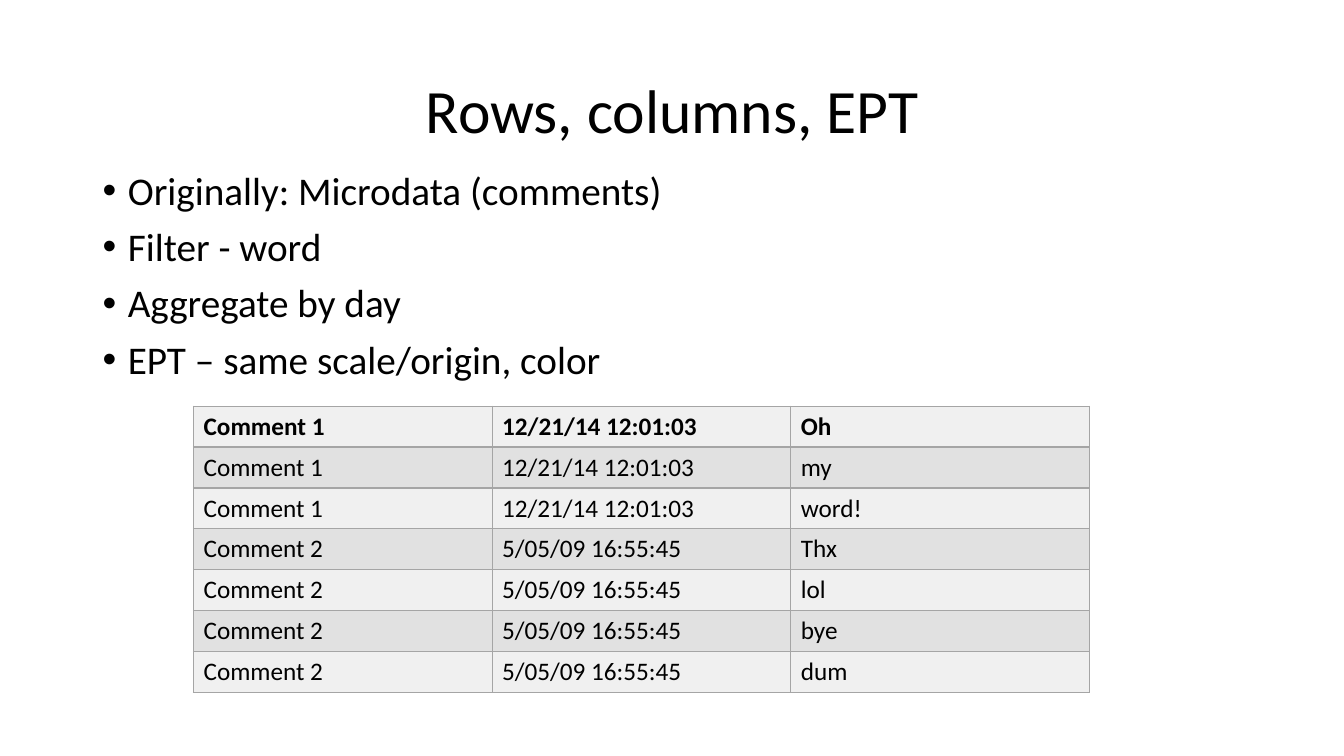
from lxml import etree
from pptx import Presentation
from pptx.dml.color import RGBColor
from pptx.enum.text import MSO_ANCHOR, PP_ALIGN
from pptx.oxml.ns import qn
from pptx.util import Inches, Pt

CENTER, LEFT = PP_ALIGN.CENTER, PP_ALIGN.LEFT
TOP, MIDDLE = MSO_ANCHOR.TOP, MSO_ANCHOR.MIDDLE

COLORS = {"text": "000000", "border": "A5A5A5", "light": "F0F0F0", "dark": "E1E1E1"}

FIRST = "12/21/14 12:01:03"
SECOND = "5/05/09 16:55:45"
COMMENTS = [
    ("Comment 1", FIRST, ["Oh", "my", "word!"]),
    ("Comment 2", SECOND, ["Thx", "lol", "bye", "dum"]),
]


class SlideBuilder:
    """Holds the style and the current slide; areas are percents of the slide."""

    font = "Calibri"

    def __init__(self, deck):
        self.width, self.height = deck.slide_width, deck.slide_height
        self.page = deck.slides.add_slide(deck.slide_layouts[6])

    def place(self, left, top, width, height):
        return (int(self.width * left / 100), int(self.height * top / 100),
                int(self.width * width / 100), int(self.height * height / 100))

    def style(self, para, size, bold=False):
        for span in para.runs:
            span.font.name = self.font
            span.font.size = Pt(size)
            span.font.bold = bold
            span.font.color.rgb = RGBColor.from_string(COLORS["text"])

    def text(self, area, lines, size, align=LEFT, anchor=TOP, before=0, bullets=False):
        frame = self.page.shapes.add_textbox(*self.place(*area)).text_frame
        frame.word_wrap = True
        frame.vertical_anchor = anchor
        frame.text = "\n".join(lines)
        for para in frame.paragraphs:
            para.alignment = align
            para.line_spacing = 0.9
            para.space_before = Pt(before)
            self.style(para, size)
            if bullets:
                self.bullet(para)

    def bullet(self, para):
        props = para._p.get_or_add_pPr()
        props.set("marL", str(Inches(0.25)))
        props.set("indent", str(-Inches(0.25)))
        etree.SubElement(props, qn("a:buFont")).set("typeface", "Arial")
        etree.SubElement(props, qn("a:buChar")).set("char", "•")

    def table(self, area, rows, size):
        frame = self.page.shapes.add_table(len(rows), len(rows[0]), *self.place(*area))
        table = frame.table
        table.horz_banding = False
        table.first_row = False
        for r, values in enumerate(rows):
            fill = COLORS["dark" if r % 2 else "light"]
            for c, value in enumerate(values):
                cell = table.cell(r, c)
                cell.text = value
                cell.fill.solid()
                cell.fill.fore_color.rgb = RGBColor.from_string(fill)
                self.style(cell.text_frame.paragraphs[0], size, bold=r == 0)
                self.border(cell)

    def border(self, cell):
        props = cell._tc.get_or_add_tcPr()
        for position, side in enumerate(("a:lnL", "a:lnR", "a:lnT", "a:lnB")):
            line = etree.Element(qn(side), w=str(Pt(1)))
            fill = etree.SubElement(line, qn("a:solidFill"))
            etree.SubElement(fill, qn("a:srgbClr")).set("val", COLORS["border"])
            props.insert(position, line)


def main():
    deck = Presentation()
    deck.slide_width, deck.slide_height = Inches(13.33), Inches(7.5)
    slide = SlideBuilder(deck)

    # Title
    slide.text((6.9, 5.33, 86.25, 19.33), ["Rows, columns, EPT"], 44, CENTER, MIDDLE)

    # Bullet list
    steps = ["Originally: Microdata (comments)", "Filter - word",
             "Aggregate by day", "EPT – same scale/origin, color"]
    slide.text((6.9, 22, 86.25, 63.5), steps, 28, before=10, bullets=True)

    # Table with one row per word
    rows = [(name, time, word) for name, time, words in COMMENTS for word in words]
    slide.table((14.4, 53.73, 66.65, 37.87), rows, 18)

    deck.save("out.pptx")


if __name__ == "__main__":
    main()
